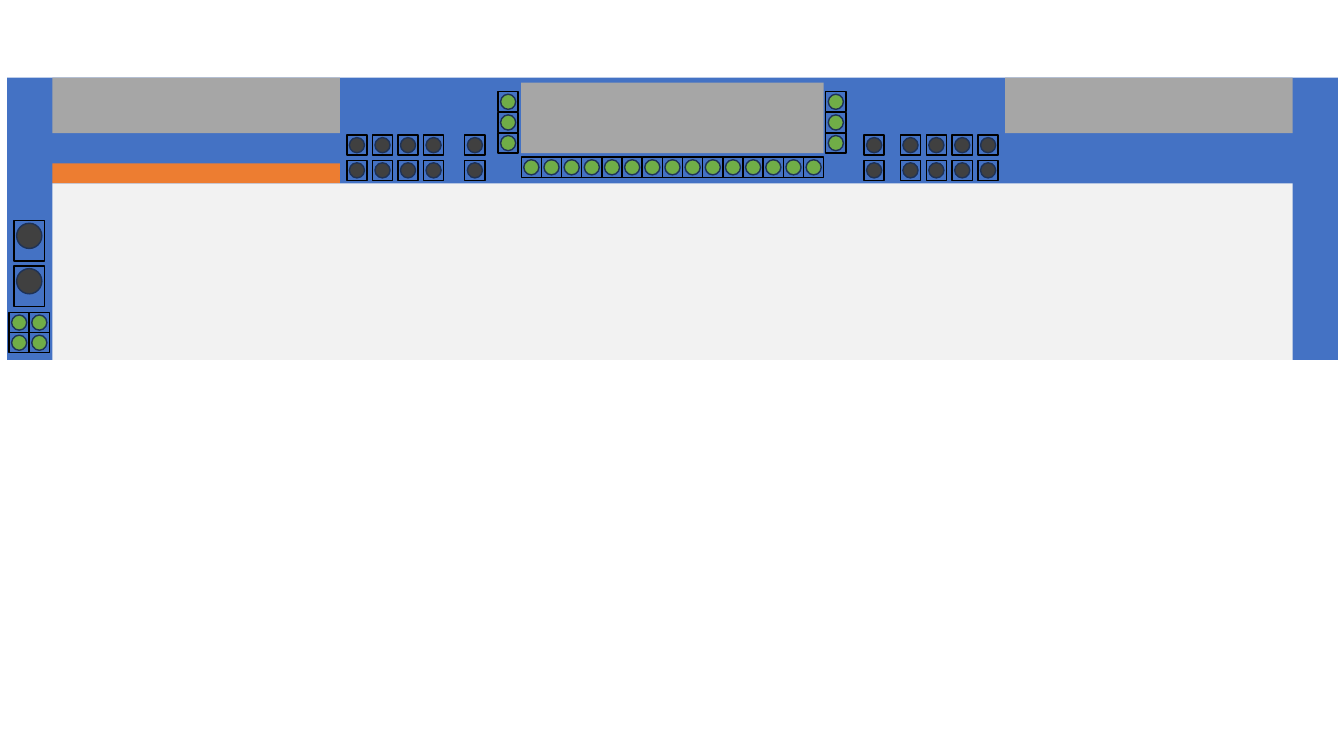
from dataclasses import dataclass
from itertools import product
from typing import Any, Optional

from pptx import Presentation
from pptx import util as u
from pptx.dml.color import RGBColor
from pptx.enum import shapes

BLUE = RGBColor(0x44, 0x72, 0xC4)
GRAY = RGBColor(0xA6, 0xA6, 0xA6)
ORANGE = RGBColor(0xED, 0x7D, 0x31)
PALE = RGBColor(0xF2, 0xF2, 0xF2)
DARK = RGBColor(0x40, 0x40, 0x40)
GREEN = RGBColor(0x70, 0xAD, 0x47)
NAVY = RGBColor(0x1E, 0x32, 0x56)
BLACK = RGBColor(0, 0, 0)

SLIDE_FORMAT = {"slide_width": u.Inches(13.33), "slide_height": u.Inches(7.5)}
RECTANGLE = shapes.MSO_SHAPE.RECTANGLE
OVAL = shapes.MSO_SHAPE.OVAL


@dataclass(frozen=True)
class Box:
    left: float
    top: float
    width: float
    height: float


@dataclass(frozen=True)
class Panel:
    box: Box
    fill: RGBColor


@dataclass(frozen=True)
class Bank:
    first: Box
    diameter: float
    fill: RGBColor
    columns: int = 1
    rows: int = 1
    span_x: float = 0
    span_y: float = 0


def light_bank(left: float, top: float, **layout: Any) -> Bank:
    return Bank(Box(left, top, 0.2, 0.2), 0.15, GREEN, **layout)


def key_bank(left: float, **layout: Any) -> Bank:
    return Bank(Box(left, 1.34, 0.2, 0.2), 0.15, DARK, rows=2, span_y=0.25, **layout)


BODY_PANELS = [
    Panel(Box(0.07, 0.77, 13.2, 2.8), BLUE),
    Panel(Box(0.52, 0.77, 2.85, 0.55), GRAY),
    Panel(Box(9.97, 0.77, 2.85, 0.55), GRAY),
    Panel(Box(0.52, 1.62, 2.85, 0.2), ORANGE),
    Panel(Box(0.52, 1.82, 12.3, 1.75), PALE),
]
DISPLAY = Panel(Box(5.17, 0.82, 3, 0.7), GRAY)

KEY_BANKS = [
    Bank(Box(0.14, 2.19, 0.3, 0.4), 0.25, DARK, rows=2, span_y=0.45),
    key_bank(3.44, columns=4, span_x=0.76),
    key_bank(8.93, columns=4, span_x=0.77),
    key_bank(4.61),
    key_bank(8.57),
]
LIGHT_BANKS = [
    light_bank(0.09, 3.1, columns=2, rows=2, span_x=0.2, span_y=0.2),
    light_bank(5.17, 1.56, columns=15, span_x=2.8),
    light_bank(4.94, 0.91, rows=3, span_y=0.41),
    light_bank(8.19, 0.91, rows=3, span_y=0.41),
]


def apply_format(target: Any, values: dict[str, Any]) -> None:
    for name, value in values.items():
        setattr(target, name, value)


def draw_shape(
    container: Any,
    kind: shapes.MSO_SHAPE,
    box: Box,
    fill: Optional[RGBColor] = None,
    line: Optional[RGBColor] = None,
) -> None:
    edges = (u.Inches(edge) for edge in (box.left, box.top, box.width, box.height))
    shape = container.add_shape(kind, *edges)
    shape.shadow.inherit = False
    for part, color in ((shape.fill, fill), (shape.line.fill, line)):
        if color is None:
            part.background()
        else:
            part.solid()
            apply_format(part.fore_color, {"rgb": color})
    if line is not None:
        apply_format(shape.line, {"width": u.Pt(1)})


def draw_panel(container: Any, panel: Panel) -> None:
    draw_shape(container, RECTANGLE, panel.box, fill=panel.fill)


def draw_bank(container: Any, bank: Bank) -> None:
    group = container.add_group_shape()
    first, diameter = bank.first, bank.diameter
    inset = (first.width - diameter) / 2
    step_x = bank.span_x / max(bank.columns - 1, 1)
    step_y = bank.span_y / max(bank.rows - 1, 1)
    for row, column in product(range(bank.rows), range(bank.columns)):
        left = first.left + column * step_x
        top = first.top + row * step_y
        frame = Box(left, top, first.width, first.height)
        cap = Box(left + inset, top + inset, diameter, diameter)
        draw_shape(group.shapes, RECTANGLE, frame, line=BLACK)
        draw_shape(group.shapes, OVAL, cap, fill=bank.fill, line=NAVY)


def main() -> None:
    presentation = Presentation()
    apply_format(presentation, SLIDE_FORMAT)
    slide = presentation.slides.add_slide(presentation.slide_layouts[6])
    body = slide.shapes.add_group_shape()
    for panel in BODY_PANELS:
        draw_panel(body.shapes, panel)
    for bank in KEY_BANKS:
        draw_bank(slide.shapes, bank)
    draw_panel(slide.shapes, DISPLAY)
    for bank in LIGHT_BANKS:
        draw_bank(slide.shapes, bank)
    presentation.save("out.pptx")


if __name__ == "__main__":
    main()
